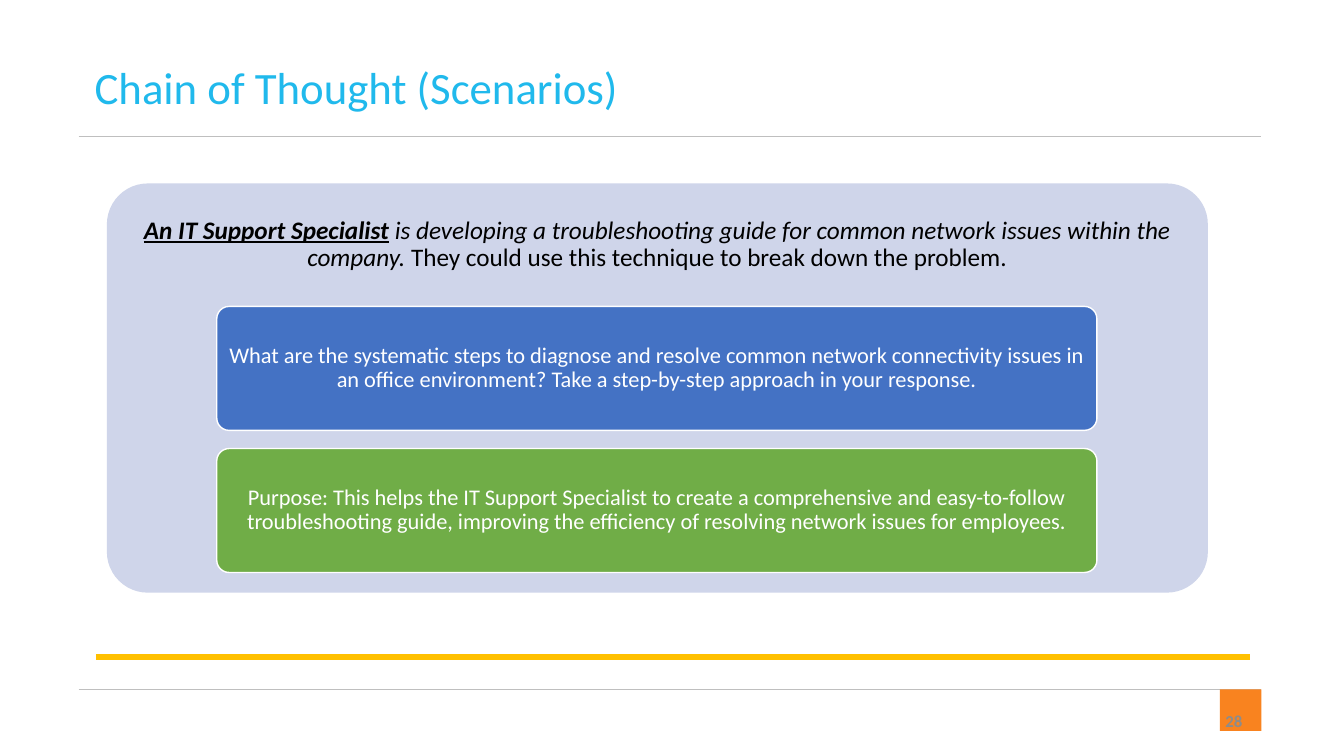
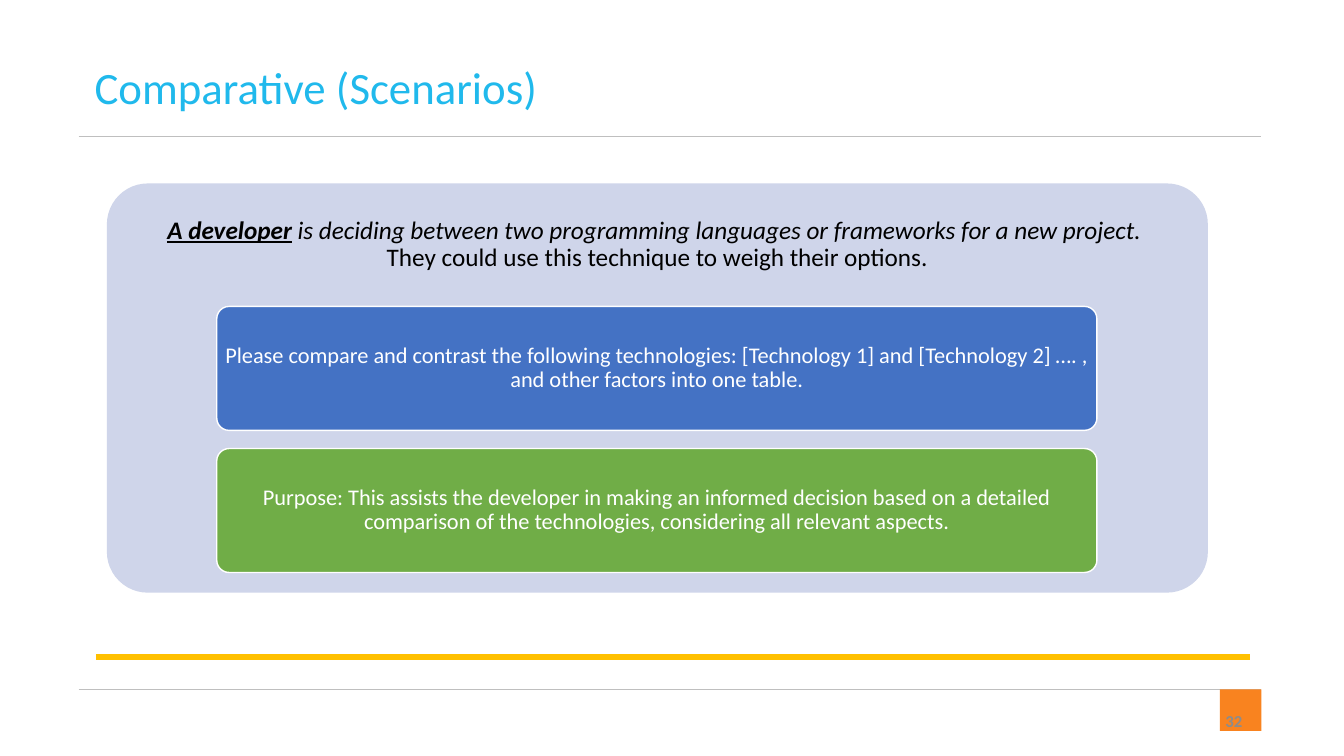
from dataclasses import dataclass

from lxml import etree
from pptx import Presentation
from pptx.dml.color import RGBColor
from pptx.enum.shapes import MSO_CONNECTOR, MSO_SHAPE
from pptx.enum.text import MSO_ANCHOR, PP_ALIGN
from pptx.oxml.ns import qn
from pptx.util import Inches, Pt

LINE = MSO_CONNECTOR.STRAIGHT
RECT, ROUND = MSO_SHAPE.RECTANGLE, MSO_SHAPE.ROUNDED_RECTANGLE
TOP, MIDDLE = MSO_ANCHOR.TOP, MSO_ANCHOR.MIDDLE
LEFT, CENTER, RIGHT = PP_ALIGN.LEFT, PP_ALIGN.CENTER, PP_ALIGN.RIGHT

FONT = "Calibri"
WHITE, BLACK, GRAY = "FFFFFF", "000000", "8C8C8C"
CYAN, RULE, GOLD, ORANGE = "20B9EC", "BFBFBF", "FFC000", "F9831F"
PANEL, BLUE, GREEN = "CFD5EA", "4472C4", "70AD47"

BOX_TOP, BOX_STEP = 3.04, 1.41
PAD, BOX_PAD = (0.1, 0.05), (0.04, 0.03)


@dataclass
class Rule:
    left: float
    right: float
    y: float
    color: str
    width: float


@dataclass
class Run:
    text: str
    format: dict


@dataclass
class Scene:
    title: str
    page: str
    role: str
    task: str
    split: bool
    use: str
    prompt: str
    purpose: str


RULES = [
    Rule(0.78, 12.51, 6.84, RULE, 0.5),
    Rule(0.78, 12.51, 1.35, RULE, 0.5),
    Rule(0.95, 12.4, 6.52, GOLD, 4.5),
]

SCENES = [
    Scene(
        "Chain of Thought (Scenarios)",
        "28",
        "An IT Support Specialist",
        " is developing a troubleshooting guide for common network issues "
        "within the company. ",
        False,
        "They could use this technique to break down the problem.",
        "What are the systematic steps to diagnose and resolve common network "
        "connectivity issues in an office environment? Take a step-by-step "
        "approach in your response.",
        "Purpose: This helps the IT Support Specialist to create a "
        "comprehensive and easy-to-follow troubleshooting guide, improving "
        "the efficiency of resolving network issues for employees.",
    ),
    Scene(
        "Comparative (Scenarios)",
        "32",
        "A developer",
        " is deciding between two programming languages or frameworks for a "
        "new project. ",
        True,
        "They could use this technique to weigh their options.",
        "Please compare and contrast the following technologies: "
        "[Technology 1] and [Technology 2] …. , and other factors into one "
        "table.",
        "Purpose: This assists the developer in making an informed decision "
        "based on a detailed comparison of the technologies, considering all "
        "relevant aspects.",
    ),
]


def paint(target, color: str) -> None:
    target.rgb = RGBColor.from_string(color)


def add_rule(slide, rule: Rule) -> None:
    line = slide.shapes.add_connector(
        LINE, Inches(rule.left), Inches(rule.y), Inches(rule.right), Inches(rule.y)
    )
    paint(line.line.color, rule.color)
    line.line.width = Pt(rule.width)
    etree.SubElement(line._element.spPr, qn("a:effectLst"))


def add_block(slide, kind, place: tuple, fill: str, edge: str = ""):
    shape = slide.shapes.add_shape(kind, *map(Inches, place))
    shape.shadow.inherit = False
    shape.fill.solid()
    paint(shape.fill.fore_color, fill)
    if edge:
        paint(shape.line.color, edge)
        shape.line.width = Pt(1)
    else:
        shape.line.fill.background()
    if kind == ROUND:
        shape.adjustments[0] = 0.1
    return shape


def write(shape, runs: list, size: int, color: str, align=LEFT, anchor=TOP,
          pad: tuple = PAD, space: float = 1.0):
    frame = shape.text_frame
    side, edge = map(Inches, pad)
    layout = {
        "word_wrap": True, "vertical_anchor": anchor,
        "margin_left": side, "margin_right": side,
        "margin_top": edge, "margin_bottom": edge,
    }
    for name, value in layout.items():
        setattr(frame, name, value)
    para = frame.paragraphs[0]
    para.alignment, para.line_spacing = align, space
    for item in runs:
        if item.text == "\n":
            para.add_line_break()
            continue
        run = para.add_run()
        run.text = item.text
        style = {"name": FONT, "size": Pt(size), **item.format}
        for name, value in style.items():
            setattr(run.font, name, value)
        paint(run.font.color, color)


def add_text(slide, place: tuple, *words, **style) -> None:
    write(slide.shapes.add_textbox(*map(Inches, place)), *words, **style)


def add_frame(slide, scene: Scene) -> None:
    for rule in RULES:
        add_rule(slide, rule)
    add_block(slide, RECT, (12.1, 6.84, 0.41, 0.41), ORANGE)
    add_text(slide, (9.42, 6.95, 3, 0.4), [Run(scene.page, {"bold": True})],
             12, GRAY, align=RIGHT, anchor=MIDDLE)
    add_text(slide, (0.84, 0.54, 11.97, 0.64), [Run(scene.title, {})], 32, CYAN)


def add_scene(slide, scene: Scene) -> None:
    add_frame(slide, scene)
    add_block(slide, ROUND, (1.06, 1.82, 10.92, 4.06), PANEL)
    runs = [
        Run(scene.role, {"bold": True, "italic": True, "underline": True}),
        Run(scene.task, {"italic": True}),
        *([Run("\n", {})] if scene.split else []),
        Run(scene.use, {}),
    ]
    add_text(slide, (1.06, 1.82, 10.92, 1.22), runs, 18, BLACK,
             align=CENTER, anchor=MIDDLE, pad=(0.07, 0.07), space=0.9)
    boxes = [(scene.prompt, BLUE), (scene.purpose, GREEN)]
    for row, (text, fill) in enumerate(boxes):
        place = (2.15, BOX_TOP + row * BOX_STEP, 8.73, 1.23)
        box = add_block(slide, ROUND, place, fill, WHITE)
        write(box, [Run(text, {})], 16, WHITE, align=CENTER, anchor=MIDDLE,
              pad=BOX_PAD, space=0.9)


def main() -> None:
    deck = Presentation()
    deck.slide_width, deck.slide_height = Inches(13.33), Inches(7.5)
    for scene in SCENES:
        add_scene(deck.slides.add_slide(deck.slide_layouts[6]), scene)
    deck.save("out.pptx")


if __name__ == "__main__":
    main()
